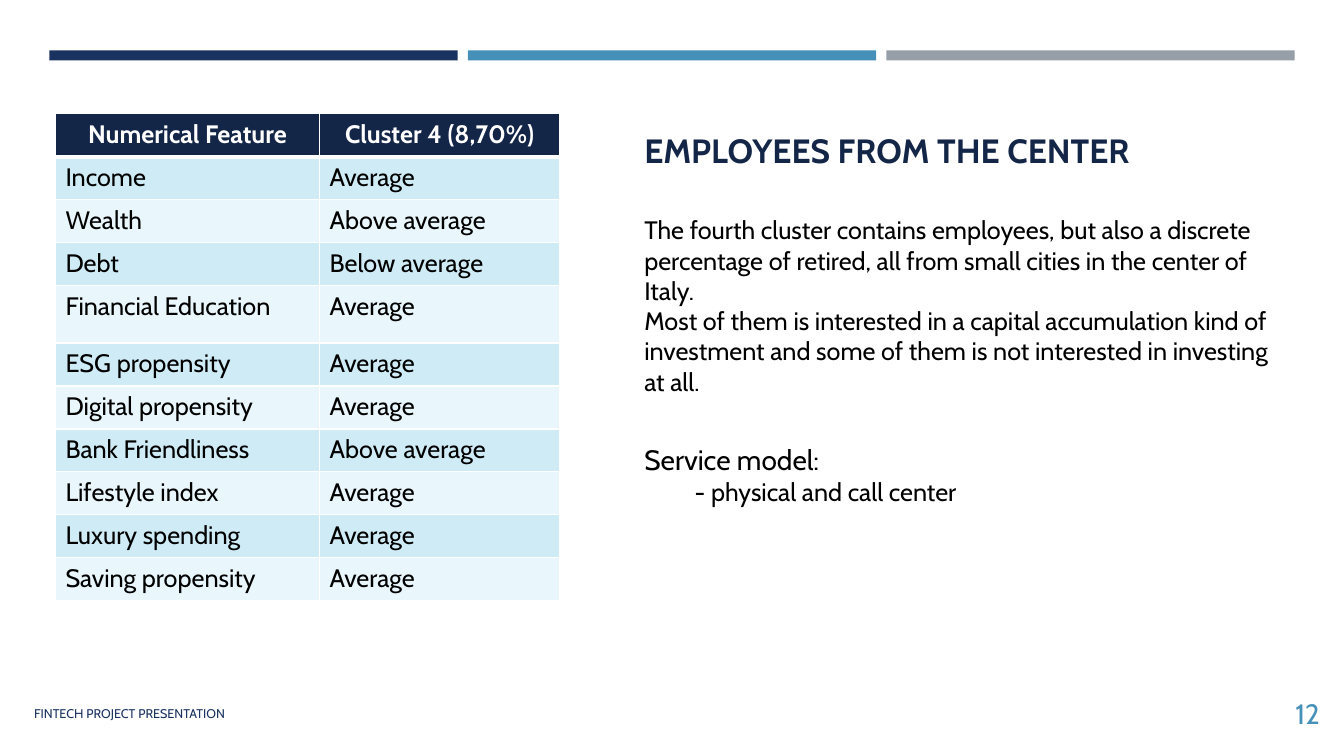
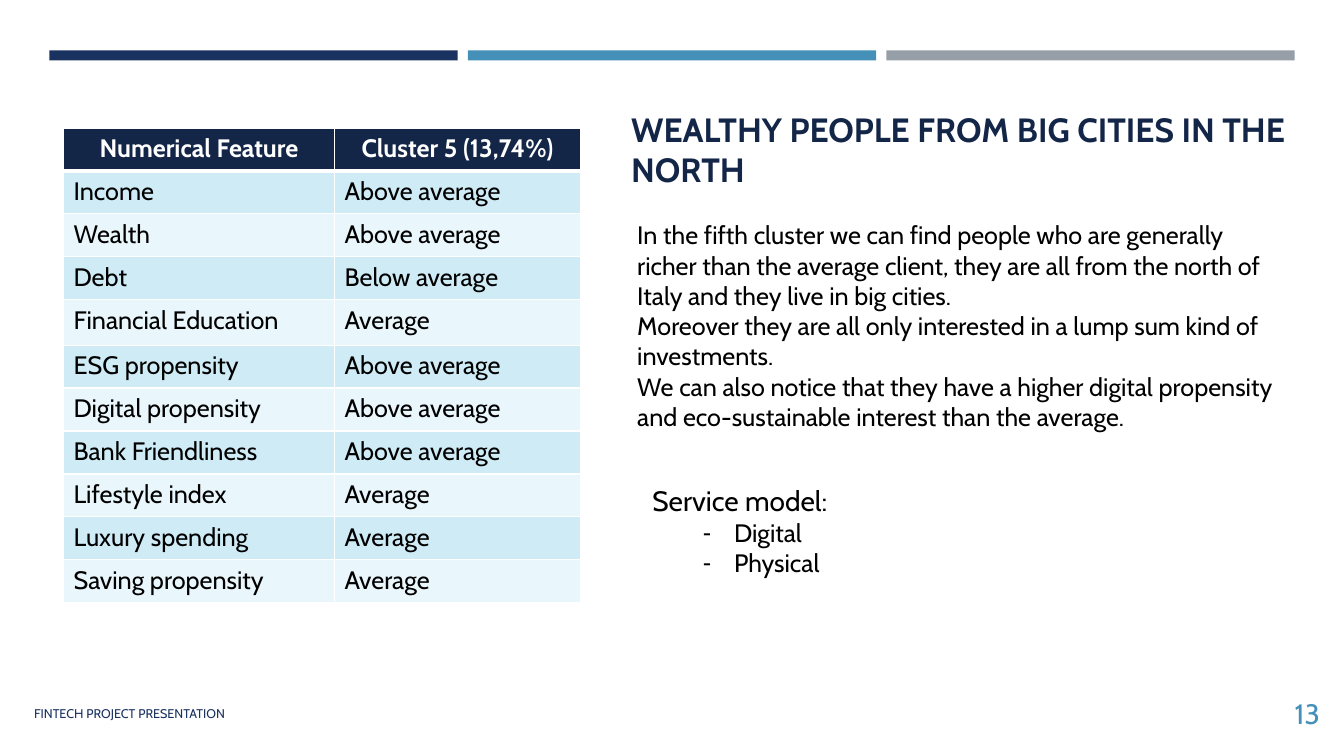
import pptx
import pptx.util
import pptx.dml.color
import pptx.enum.shapes
import pptx.enum.text
import pptx.oxml
import pptx.oxml.ns

Inches = pptx.util.Inches
Pt = pptx.util.Pt
RGBColor = pptx.dml.color.RGBColor
ALIGN = pptx.enum.text.PP_ALIGN
ANCHOR = pptx.enum.text.MSO_ANCHOR

NAVY = RGBColor(0x1A, 0x32, 0x60)
BLUE = RGBColor(0x45, 0x90, 0xB8)
GREY = RGBColor(0x96, 0x9F, 0xA7)
DARK = RGBColor(0x14, 0x26, 0x48)
SKY = RGBColor(0xCF, 0xEC, 0xF6)
PALE = RGBColor(0xE9, 0xF6, 0xFB)
WHITE = RGBColor(0xFF, 0xFF, 0xFF)
BLACK = RGBColor(0, 0, 0)

FONT = "Cabin"
FOOTER = "FINTECH PROJECT PRESENTATION"
SPACE = pptx.oxml.ns.nsdecls("a")
FEATURES = [
    "Income", "Wealth", "Debt", "Financial Education", "ESG propensity",
    "Digital propensity", "Bank Friendliness", "Lifestyle index",
    "Luxury spending", "Saving propensity",
]
TALL = FEATURES.index("Financial Education") + 1

CLUSTERS = [
    {
        "number": "12",
        "title": "EMPLOYEES FROM THE CENTER",
        "title_box": (6.29, 1.24, 6.35, 0.5),
        "head": "Cluster 4 (8,70%)",
        "levels": [
            "Average", "Above average", "Below average", "Average", "Average",
            "Average", "Above average", "Average", "Average", "Average",
        ],
        "table_box": (0.55, 1.13, 5, 4.83),
        "tall": 0.57,
        "body": [
            "The fourth cluster contains employees, but also a discrete percentage of retired, all from small cities in the center of Italy.",
            "Most of them is interested in a capital accumulation kind of investment and some of them is not interested in investing at all.",
        ],
        "body_box": (6.29, 2.08, 6.49, 2.52),
        "models": ["- physical and call center"],
        "model_box": (6.29, 4.34, 4.67, 0.74),
        "style": {"left": 0.5},
    },
    {
        "number": "13",
        "title": "WEALTHY PEOPLE FROM BIG CITIES IN THE NORTH",
        "title_box": (6.16, 1.03, 7, 0.91),
        "head": "Cluster 5 (13,74%)",
        "levels": [
            "Above average", "Above average", "Below average", "Average",
            "Above average", "Above average", "Above average", "Average",
            "Average", "Average",
        ],
        "table_box": (0.63, 1.27, 5.13, 4.71),
        "tall": 0.45,
        "body": [
            "In the fifth cluster we can find people who are generally richer than the average client, they are all from the north of Italy and they live in big cities.",
            "Moreover they are all only interested in a lump sum kind of investments.",
            "We can also notice that they have a higher digital propensity and eco-sustainable interest than the average.",
        ],
        "body_box": (6.22, 2.13, 6.66, 2.52),
        "models": ["Digital", "Physical"],
        "model_box": (6.37, 4.75, 3, 1.35),
        "style": {"left": 0.81, "hang": 0.31, "mark": "-"},
    },
]


def put(frame, text, size=18, color=BLACK, bold=False, align=ALIGN.LEFT,
        level=0, left=0, hang=0, mark=None):
    para = frame.paragraphs[0] if not frame.text else frame.add_paragraph()
    para.alignment = align
    para.level = level
    para.space_before = Pt(0)
    props = para._p.get_or_add_pPr()
    props.set("marL", str(Inches(left)))
    props.set("indent", str(-Inches(hang)))
    bullet = f'<a:buChar {SPACE} char="{mark}"/>' if mark else f"<a:buNone {SPACE}/>"
    props.append(pptx.oxml.parse_xml(bullet))
    run = para.add_run()
    run.text = text
    run.font.name = FONT
    run.font.size = Pt(size)
    run.font.bold = bold
    run.font.color.rgb = color


def place(shape, box, anchor=ANCHOR.TOP):
    shape.left, shape.top, shape.width, shape.height = map(Inches, box)
    frame = shape.text_frame
    frame.word_wrap = True
    frame.auto_size = pptx.enum.text.MSO_AUTO_SIZE.NONE
    frame.vertical_anchor = anchor
    return frame


def add_text(slide, box, text, **style):
    shape = slide.shapes.add_textbox(*map(Inches, box))
    put(place(shape, box, ANCHOR.MIDDLE), text, **style)


def add_bands(slide, layout, box):
    left, top, width, height = box
    gap = 0.1
    wide = (width - 2 * gap) / 3
    for index, color in enumerate((NAVY, BLUE, GREY)):
        band = slide.shapes.add_shape(
            pptx.enum.shapes.MSO_SHAPE.RECTANGLE,
            Inches(left + index * (wide + gap)), Inches(top),
            Inches(wide), Inches(height))
        band.shadow.inherit = False
        band.fill.solid()
        band.fill.fore_color.rgb = color
        band.line.fill.background()
        band.element.nvSpPr.cNvPr.set("id", str(50 + index))
        layout.shapes.element.append(band.element)


def edge(cell, head):
    props = cell._tc.get_or_add_tcPr()
    for index, side in enumerate("LRTB"):
        width = Pt(3 if head and side == "B" else 1)
        props.insert(index, pptx.oxml.parse_xml(
            f'<a:ln{side} {SPACE} w="{width}"><a:solidFill>'
            f'<a:srgbClr val="{WHITE}"/></a:solidFill></a:ln{side}>'))


def add_grid(slide, box, head, levels, tall):
    rows = [("Numerical Feature", head), *zip(FEATURES, levels)]
    table = slide.shapes.add_table(len(rows), 2, *map(Inches, box)).table
    width, height = box[2:]
    for column, share in zip(table.columns, (0.524, 0.476)):
        column.width = Inches(width * share)
    for index, texts in enumerate(rows):
        low = (height - tall) / (len(rows) - 1)
        table.rows[index].height = Inches(tall if index == TALL else low)
        top = index == 0
        fill = DARK if top else (PALE, SKY)[index % 2]
        for column, text in enumerate(texts):
            cell = table.cell(index, column)
            cell.fill.solid()
            cell.fill.fore_color.rgb = fill
            edge(cell, top)
            put(cell.text_frame, text, bold=top, color=WHITE if top else BLACK,
                align=ALIGN.CENTER if top else ALIGN.LEFT)


def add_model(shape, box, models, style):
    frame = place(shape, box)
    put(frame, "Service model:", size=20)
    for model in models:
        put(frame, model, level=1, **style)


def add_cluster(slide, data):
    title, body, model = slide.placeholders
    put(place(title, data["title_box"]), data["title"],
        size=24, color=DARK, bold=True)
    frame = place(body, data["body_box"])
    for text in data["body"]:
        put(frame, text)
    add_model(model, data["model_box"], data["models"], data["style"])
    add_grid(slide, data["table_box"], data["head"], data["levels"], data["tall"])
    add_text(slide, (0.24, 6.91, 5.67, 0.33), FOOTER, size=9, color=NAVY)
    add_text(slide, (11.82, 6.76, 1.37, 0.63), data["number"],
             size=20, color=BLUE, align=ALIGN.RIGHT)


def main():
    deck = pptx.Presentation()
    deck.slide_width = Inches(13.33)
    deck.slide_height = Inches(7.5)
    layout = deck.slide_layouts.get_by_name("Two Content")
    slides = [deck.slides.add_slide(layout) for _ in CLUSTERS]
    add_bands(slides[0], layout, (0.49, 0.5, 12.35, 0.1))
    for slide, data in zip(slides, CLUSTERS):
        add_cluster(slide, data)
    deck.save("out.pptx")


if __name__ == "__main__":
    main()
